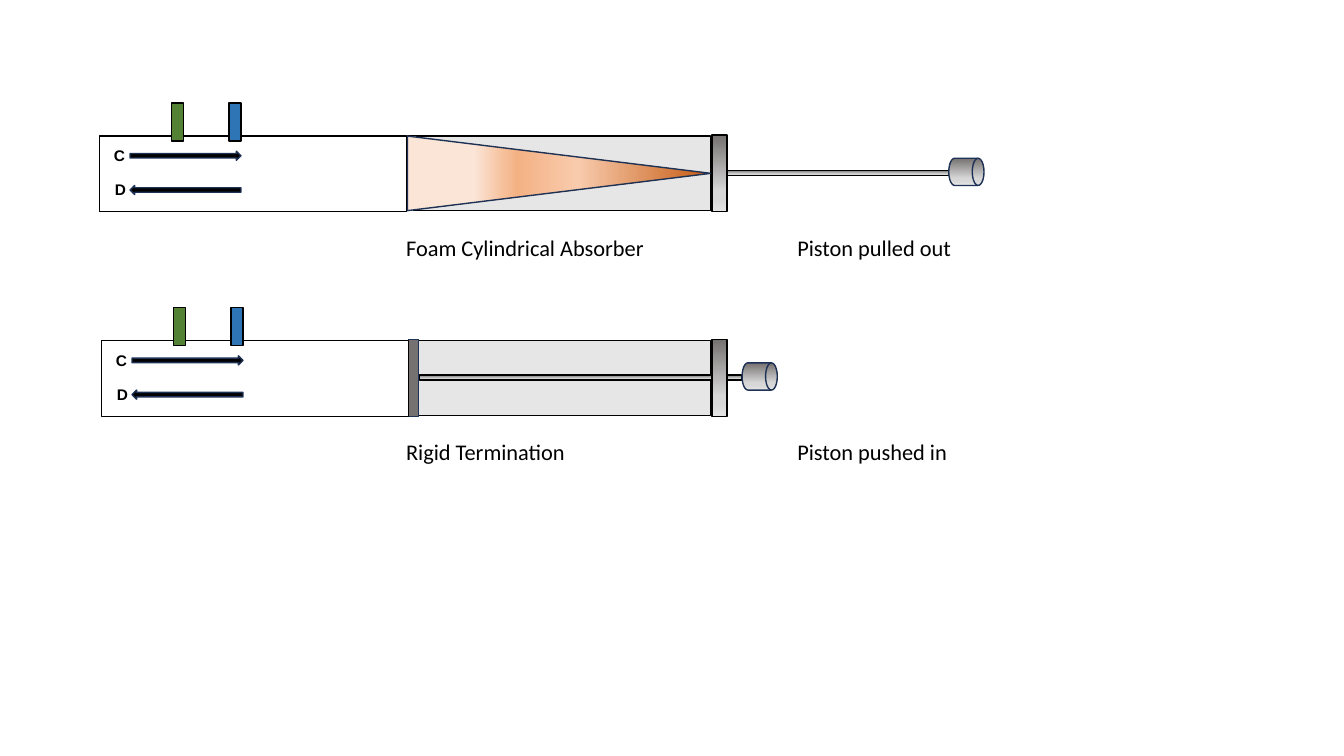
from dataclasses import dataclass

from lxml.etree import SubElement
from pptx import Presentation
from pptx.dml.color import RGBColor
from pptx.enum.shapes import MSO_SHAPE
from pptx.enum.text import MSO_AUTO_SIZE
from pptx.oxml.ns import qn
from pptx.util import Inches, Pt


@dataclass(frozen=True)
class Theme:
    """Colours, gradients, fonts and sizes of the slide."""

    black: str = "000000"
    white: str = "FFFFFF"
    navy: str = "1E3256"
    chamber: str = "E7E6E6"
    termination: str = "767171"
    microphones: tuple = ("548235", "2E75B6")
    metal: tuple = ((0, "767171"), (74, "D7D7D7"), (83, "D7D7D7"), (100, "E4E4E4"))
    foam: tuple = ((0, "C55A11"), (44, "F8CBAD"), (64, "F4B183"), (78, "FBE5D6"))
    caption_font: str = "Calibri"
    caption_size: int = 16
    label_font: str = "Arial"
    label_size: int = 11
    outline: float = 1


THEME = Theme()


def fill_gradient(shape, stops):
    """Fill a shape from top to bottom with (percent, colour) stops."""
    shape.fill.gradient()
    shape.fill.gradient_angle = 270
    stop_list = shape.fill._fill._gradFill.find(qn("a:gsLst"))
    for stop in list(stop_list):
        stop_list.remove(stop)
    for percent, colour in stops:
        stop = SubElement(stop_list, qn("a:gs"), pos=str(percent * 1000))
        SubElement(stop, qn("a:srgbClr"), val=colour)


def add_part(slide, box, fill, line=THEME.black, kind=MSO_SHAPE.RECTANGLE, rotation=0):
    """Draw one outlined part with a plain or gradient fill."""
    part = slide.shapes.add_shape(kind, *map(Inches, box))
    part.shadow.inherit = False
    part.rotation = rotation
    if isinstance(fill, str):
        part.fill.solid()
        part.fill.fore_color.rgb = RGBColor.from_string(fill)
    else:
        fill_gradient(part, fill)
    part.line.color.rgb = RGBColor.from_string(line)
    part.line.width = Pt(THEME.outline)
    return part


def add_text(slide, box, text, font=THEME.caption_font, size=THEME.caption_size,
             colour=THEME.black, bold=False, wrap=True, right_inset=0.1):
    """Place a line of text in a box."""
    frame = slide.shapes.add_textbox(*map(Inches, box)).text_frame
    frame.word_wrap = wrap
    frame.auto_size = MSO_AUTO_SIZE.SHAPE_TO_FIT_TEXT
    frame.margin_right = Inches(right_inset)
    run = frame.paragraphs[0].add_run()
    run.text = text
    run.font.name = font
    run.font.size = Pt(size)
    run.font.bold = bold
    run.font.color.rgb = RGBColor.from_string(colour)


def draw_chamber(slide, left, top, width, height):
    """Draw the grey chamber that holds the termination."""
    add_part(slide, (left, top, width, height), THEME.chamber)


def draw_foam(slide, left, top, width, height):
    """Draw the foam wedge filling the box, with its tip to the right."""
    box = (left + (width - height) / 2, top + (height - width) / 2, height, width)
    add_part(slide, box, THEME.foam, THEME.navy, MSO_SHAPE.ISOSCELES_TRIANGLE, 90)


def draw_rigid_end(slide, left, top, width, height):
    """Draw the rigid plate and the rod behind it."""
    add_part(slide, (left + 0.12, top + 0.34, width - 0.11, 0.05), THEME.metal)
    add_part(slide, (left + 0.01, top - 0.01, 0.1, height + 0.02),
             THEME.termination, THEME.navy)


def draw_piston(slide, left, top, height, reach):
    """Draw the end cap, the rod of the given reach and its knob."""
    cap_width = 0.15
    rod_left = left + cap_width
    add_part(slide, (left, top - 0.01, cap_width, height + 0.02), THEME.metal)
    add_part(slide, (rod_left, top + 0.34, reach, 0.05), THEME.metal)
    add_part(slide, (rod_left + reach, top + 0.22, 0.35, 0.27), THEME.metal,
             THEME.navy, MSO_SHAPE.FLOWCHART_DIRECT_ACCESS_STORAGE)


def draw_tube(slide, left, top, width, height):
    """Draw the tube with its two wave arrows and two microphones."""
    add_part(slide, (left, top, width, height), THEME.white)
    for row, (wave, rotation) in enumerate((("C", 0), ("D", 180))):
        row_top = top + 0.34 * row
        add_part(slide, (left + 0.3, row_top + 0.15, 1.1, 0.09), THEME.black,
                 THEME.navy, MSO_SHAPE.RIGHT_ARROW, rotation)
        add_text(slide, (left + 0.04 + 0.01 * row, row_top + 0.05, 0.21, 0.29), wave,
                 font=THEME.label_font, size=THEME.label_size, bold=True,
                 wrap=False, right_inset=0)
    for place, colour in enumerate(THEME.microphones):
        add_part(slide, (left + 0.71 + 0.57 * place, top - 0.33, 0.12, 0.38), colour)


def draw_apparatus(slide, top, tube_left, draw_termination, reach, captions):
    """Draw one state of the apparatus with its captions below."""
    chamber = (4.04, top, 3.01, 0.74)
    draw_chamber(slide, *chamber)
    draw_termination(slide, *chamber)
    draw_piston(slide, 7.06, top, 0.74, reach)
    draw_tube(slide, tube_left, top, 3.04, 0.75)
    for caption_left, caption in zip((3.93, 7.81), captions):
        add_text(slide, (caption_left, top + 0.92, 2.77, 0.37), caption)


def main():
    """Build and save the slide."""
    presentation = Presentation()
    presentation.slide_width = Inches(13.33)
    presentation.slide_height = Inches(7.5)
    slide = presentation.slides.add_slide(presentation.slide_layouts[6])
    draw_apparatus(slide, 1.35, 0.99, draw_foam, 2.2,
                   ("Foam Cylindrical Absorber", "Piston pulled out"))
    draw_apparatus(slide, 3.38, 1.01, draw_rigid_end, 0.15,
                   ("Rigid Termination", "Piston pushed in"))
    presentation.save("out.pptx")


if __name__ == "__main__":
    main()
